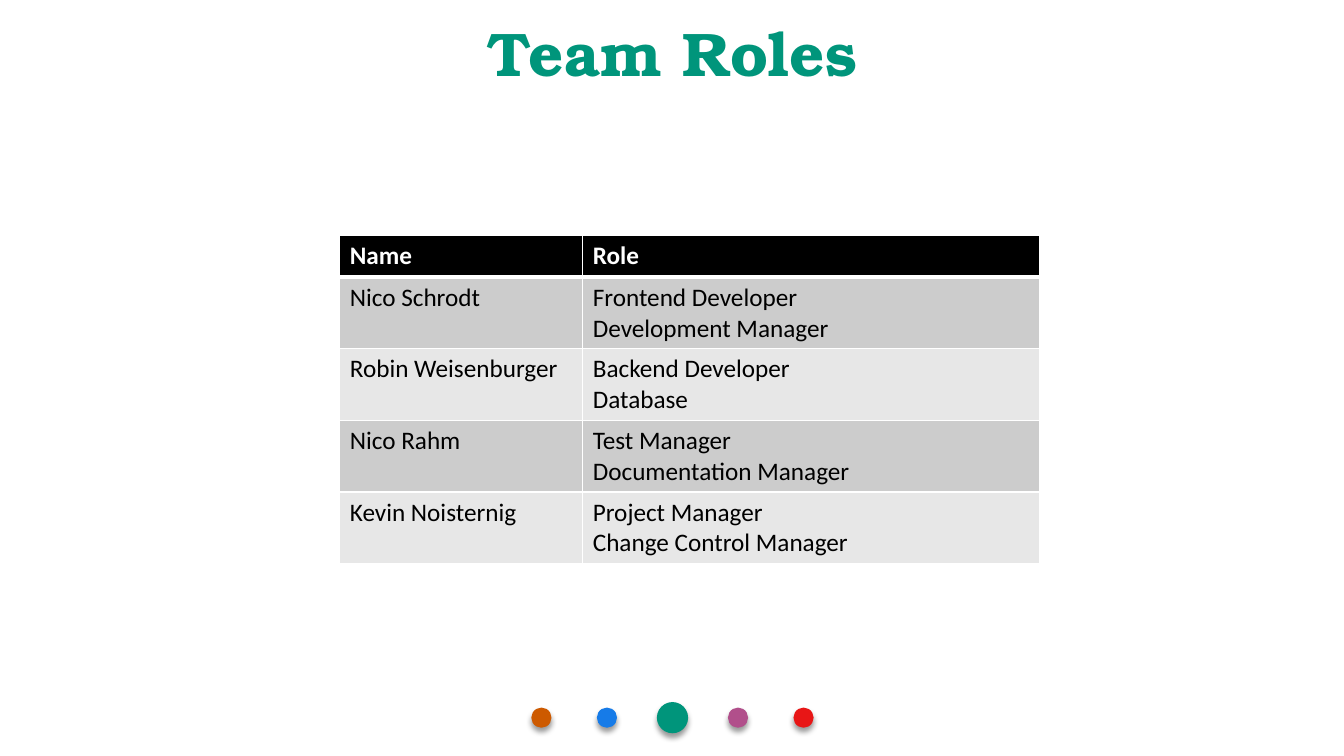
import lxml.etree
import pptx
import pptx.dml.color
import pptx.enum.shapes
import pptx.enum.text
import pptx.oxml
import pptx.oxml.ns
import pptx.util

RGBColor = pptx.dml.color.RGBColor
GREEN = RGBColor(0x00, 0x95, 0x7B)
ORANGE = RGBColor(0xCD, 0x5A, 0x00)
BLUE = RGBColor(0x16, 0x7B, 0xE8)
PURPLE = RGBColor(0xB1, 0x4F, 0x8B)
RED = RGBColor(0xE8, 0x16, 0x16)
BLACK = RGBColor(0x00, 0x00, 0x00)
WHITE = RGBColor(0xFF, 0xFF, 0xFF)
DARK_BAND = RGBColor(0xCC, 0xCC, 0xCC)
LIGHT_BAND = RGBColor(0xE7, 0xE7, 0xE7)

Inches = pptx.util.Inches
NAMESPACE = pptx.oxml.ns.nsdecls("a")


def add_border(cell, position, side, width):
    border = pptx.oxml.parse_xml(
        f'<a:ln{side} {NAMESPACE} w="{pptx.util.Pt(width)}"><a:solidFill>'
        f'<a:srgbClr val="{WHITE}"/></a:solidFill></a:ln{side}>'
    )
    cell._tc.get_or_add_tcPr().insert(position, border)


presentation = pptx.Presentation()
presentation.slide_width = Inches(13.33)
presentation.slide_height = Inches(7.5)
slide = presentation.slides.add_slide(presentation.slide_layouts[5])

title = slide.shapes.title
title.left, title.top = Inches(0.92), Inches(0.15)
title.width, title.height = Inches(11.5), Inches(0.82)
title.text_frame.text = "Team Roles"
title.text_frame.vertical_anchor = pptx.enum.text.MSO_ANCHOR.MIDDLE
paragraph = title.text_frame.paragraphs[0]
paragraph.alignment = pptx.enum.text.PP_ALIGN.CENTER
paragraph.line_spacing = 0.9
font = paragraph.runs[0].font
font.name, font.size, font.bold = "TeX Gyre Bonum", pptx.util.Pt(44), True
font.color.rgb = GREEN

DOT_PITCH = 0.65
DOT_CENTRE_Y = 7.12
for index, color in enumerate([ORANGE, BLUE, GREEN, PURPLE, RED]):
    diameter = 0.31 if color == GREEN else 0.2
    centre_x = 6.67 + (index - 2) * DOT_PITCH
    dot = slide.shapes.add_shape(
        pptx.enum.shapes.MSO_SHAPE.OVAL,
        Inches(centre_x - diameter / 2), Inches(DOT_CENTRE_Y - diameter / 2),
        Inches(diameter), Inches(diameter),
    )
    dot.fill.solid()
    dot.fill.fore_color.rgb = color
    dot.line.fill.background()
    dot.shadow.inherit = False
    effects = dot._element.spPr.find(pptx.oxml.ns.qn("a:effectLst"))
    shadow = lxml.etree.SubElement(
        effects, pptx.oxml.ns.qn("a:outerShdw"),
        blurRad=str(pptx.util.Pt(4)), dist=str(pptx.util.Pt(3)),
        dir="5400000", rotWithShape="0",
    )
    shadow_color = lxml.etree.SubElement(shadow, pptx.oxml.ns.qn("a:srgbClr"), val=str(BLACK))
    lxml.etree.SubElement(shadow_color, pptx.oxml.ns.qn("a:alpha"), val="40000")

ROLES = [
    ("Name", "Role"),
    ("Nico Schrodt", "Frontend Developer\nDevelopment Manager"),
    ("Robin Weisenburger", "Backend Developer\nDatabase"),
    ("Nico Rahm", "Test Manager\nDocumentation Manager"),
    ("Kevin Noisternig", "Project Manager\nChange Control Manager"),
]
table = slide.shapes.add_table(
    len(ROLES), 2, Inches(3.37), Inches(2.34), Inches(6.94), Inches(3.21)
).table
table.columns[0].width, table.columns[1].width = Inches(2.41), Inches(4.53)

for row, texts in enumerate(ROLES):
    is_header = row == 0
    table.rows[row].height = Inches(0.41 if is_header else 0.7)
    for column, text in enumerate(texts):
        cell = table.cell(row, column)
        cell.text_frame.text = text
        cell.fill.solid()
        cell.fill.fore_color.rgb = BLACK if is_header else DARK_BAND if row % 2 else LIGHT_BAND
        for position, side in enumerate("LRTB"):
            thick = (row, side) in [(0, "B"), (1, "T")]
            add_border(cell, position, side, 3 if thick else 1)
        for paragraph in cell.text_frame.paragraphs:
            font = paragraph.runs[0].font
            font.name, font.size, font.bold = "Calibri", pptx.util.Pt(18), is_header
            font.color.rgb = WHITE if is_header else BLACK

presentation.save("out.pptx")
